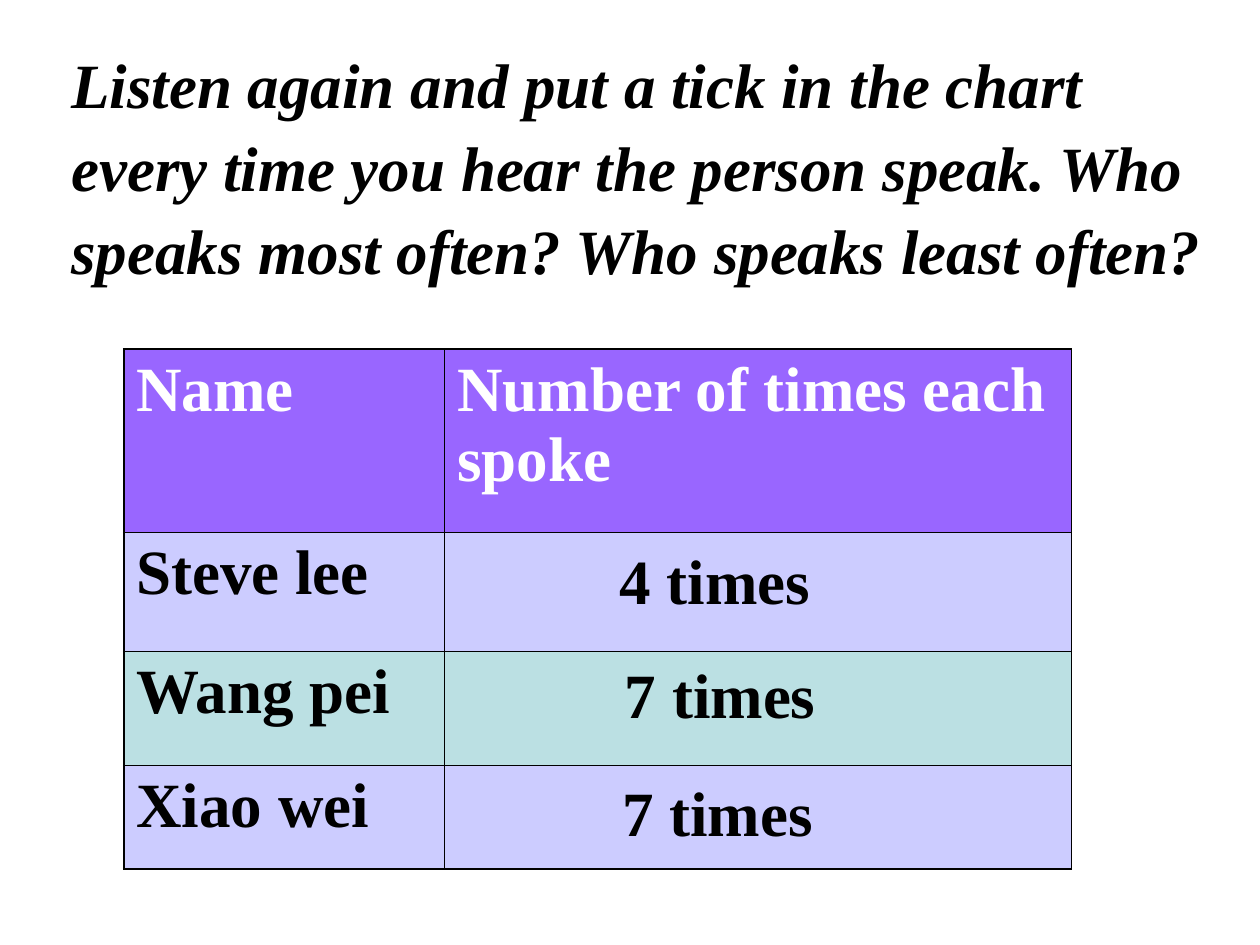
from lxml.etree import SubElement
from pptx import Presentation
from pptx.dml.color import RGBColor
from pptx.enum.text import MSO_AUTO_SIZE as AutoSize
from pptx.oxml.ns import qn
from pptx.util import Pt

BLACK = RGBColor(0x00, 0x00, 0x00)
WHITE = RGBColor(0xFF, 0xFF, 0xFF)
PURPLE = RGBColor(0x99, 0x66, 0xFF)
LAVENDER = RGBColor(0xCC, 0xCC, 0xFF)
AQUA = RGBColor(0xBB, 0xE0, 0xE3)

INSTRUCTION = ("Listen again and put a tick in the chart every time you hear "
               "the person speak. Who speaks most often? Who speaks least often?")
# cell texts, row height, fill, text colour
ROWS = [
    (("Name", "Number of times each\nspoke"), 104.75, PURPLE, WHITE),
    (("Steve lee", ""), 68, LAVENDER, BLACK),
    (("Wang pei", ""), 65, AQUA, BLACK),
    (("Xiao wei", ""), 59.25, LAVENDER, BLACK),
]
COLUMN_WIDTHS = (183.25, 358.25)
TABLE_LEFT, TABLE_TOP = 70.75, 199.5
# text, left, top
ANSWERS = [
    ("4 times", 347, 301.5),
    ("7 times", 350, 366.5),
    ("7 times", 348.5, 434),
]
OUTER_LINE, INNER_LINE = 1.08, 0.45


def write(frame, text, color, italic=False, line_spacing=None):
    frame.text = text
    style = {"name": "Times New Roman", "size": Pt(36), "bold": True, "italic": italic}
    for paragraph in frame.paragraphs:
        paragraph.line_spacing = line_spacing
        for key, value in style.items():
            setattr(paragraph.font, key, value)
        paragraph.font.color.rgb = color


def add_text(text, left, top, width, height, wrap, italic=False):
    box = slide.shapes.add_textbox(Pt(left), Pt(top), Pt(width), Pt(height))
    box.text_frame.word_wrap = wrap
    box.text_frame.auto_size = AutoSize.SHAPE_TO_FIT_TEXT
    write(box.text_frame, text, BLACK, italic, line_spacing=1.1)


def set_borders(cell, outer_sides):
    """Rule all four sides, heavier on those at the table's edge."""
    properties = cell._tc.get_or_add_tcPr()
    for side in "LRTB":
        width = OUTER_LINE if side in outer_sides else INNER_LINE
        line = SubElement(properties, qn(f"a:ln{side}"), w=str(Pt(width)))
        fill = SubElement(line, qn("a:solidFill"))
        SubElement(fill, qn("a:srgbClr"), val=str(BLACK))


presentation = Presentation()
presentation.slide_width, presentation.slide_height = Pt(720), Pt(540)
slide = presentation.slides.add_slide(presentation.slide_layouts[6])

table = slide.shapes.add_table(
    len(ROWS), len(COLUMN_WIDTHS), Pt(TABLE_LEFT), Pt(TABLE_TOP),
    Pt(sum(COLUMN_WIDTHS)), Pt(sum(row[1] for row in ROWS))).table
for column, width in zip(table.columns, COLUMN_WIDTHS):
    column.width = Pt(width)
for r, (texts, height, fill, color) in enumerate(ROWS):
    table.rows[r].height = Pt(height)
    for c, text in enumerate(texts):
        cell = table.cell(r, c)
        outer_sides = "L" if c == 0 else "R"
        if r == 0:
            outer_sides += "T"
        if r == len(ROWS) - 1:
            outer_sides += "B"
        set_borders(cell, outer_sides)
        cell.fill.solid()
        cell.fill.fore_color.rgb = fill
        if text:
            write(cell.text_frame, text, color)

for text, left, top in ANSWERS:
    add_text(text, left, top, 126, 54.75, wrap=False)
add_text(INSTRUCTION, 33.75, 18, 663.25, 149.75, wrap=True, italic=True)

presentation.save("out.pptx")
